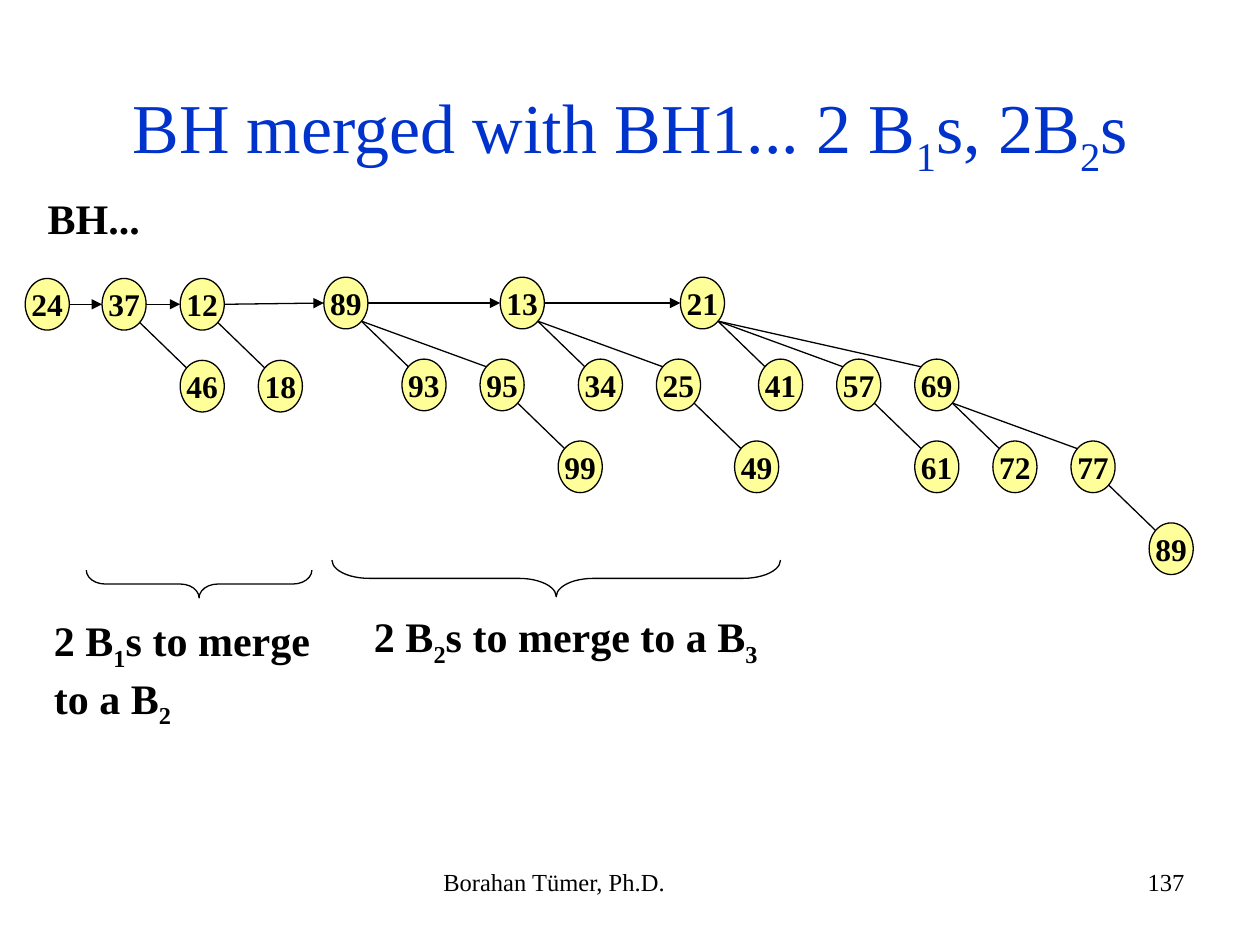
import pptx
import pptx.util
import pptx.dml.color
import pptx.enum.shapes
import pptx.enum.text
import pptx.oxml.ns
from lxml import etree

SHAPES = pptx.enum.shapes.MSO_SHAPE
ALIGN = pptx.enum.text.PP_ALIGN
ANCHOR = pptx.enum.text.MSO_ANCHOR
INCH = pptx.util.Inches

COLORS = {"title": "0033CC", "ink": "000000", "node": "FFFF99"}
FONT = "Times New Roman"
TITLE = "BH merged with BH1... 2 B_1_s, 2B_2_s"

TREES = [
    (0.20, 2.21, ("24", [])),
    (0.81, 2.21, ("37", [("46", [])])),
    (1.43, 2.21, ("12", [("18", [])])),
    (2.57, 2.20, ("89", [("93", []), ("95", [("99", [])])])),
    (3.97, 2.20, ("13", [("34", []), ("25", [("49", [])])])),
    (5.40, 2.20, ("21", [
        ("41", []),
        ("57", [("61", [])]),
        ("69", [("72", []), ("77", [("89", [])])]),
    ])),
]
LABELS = [
    ("BH...", (0.28, 1.48, 1.05, 0.5), dict(size=24, bold=True)),
    ("2 B_1_s to merge to a B_2", (0.33, 4.83, 2.52, 1.01), dict(size=24, bold=True)),
    ("2 B_2_s to merge to a B_3", (2.87, 4.8, 3.44, 0.56), dict(size=24, bold=True)),
    ("Borahan Tümer, Ph.D.", (3.42, 6.83, 3.17, 0.52), dict(size=14)),
    ("137", (7.17, 6.83, 2.33, 0.52), dict(size=14, align=ALIGN.RIGHT)),
]
BRACES = [((1.47, 3.74, 0.22, 1.79), 0.68), ((4.27, 2.81, 0.29, 3.56), 1.02)]

NODE_WIDTH, NODE_HEIGHT = 0.35, 0.41
COLUMN, ROW = 0.62, 0.65
NEAR, FAR = 0.15, 0.85


def color(name):
    return pptx.dml.color.RGBColor.from_string(COLORS[name])


def write(shape, text, size, ink="ink", bold=False, align=ALIGN.LEFT,
          anchor=ANCHOR.TOP, wrap=True):
    frame = shape.text_frame
    frame.word_wrap = wrap
    frame.auto_size = pptx.enum.text.MSO_AUTO_SIZE.NONE
    frame.vertical_anchor = anchor
    para = frame.paragraphs[0]
    para.alignment = align
    for index, piece in enumerate(text.split("_")):
        span = para.add_run()
        span.text = piece
        span.font.name = FONT
        span.font.size = pptx.util.Pt(size)
        span.font.bold = bold
        span.font.color.rgb = color(ink)
        if index % 2:
            span.font._element.set("baseline", "-25000")


def outline(shape):
    shape.line.color.rgb = color("ink")
    shape.line.width = pptx.util.Pt(0.75)


def connect(slide, start, end, arrow=False):
    line = slide.shapes.add_connector(
        pptx.enum.shapes.MSO_CONNECTOR.STRAIGHT, *map(INCH, start + end))
    outline(line)
    if arrow:
        tail = etree.SubElement(line.line._get_or_add_ln(), pptx.oxml.ns.qn("a:tailEnd"))
        tail.set("type", "triangle")
    etree.SubElement(line._element.spPr, pptx.oxml.ns.qn("a:effectLst"))


def draw_tree(slide, left, top, tree):
    key, children = tree
    node = slide.shapes.add_shape(
        SHAPES.OVAL, *map(INCH, (left, top, NODE_WIDTH, NODE_HEIGHT)))
    node.shadow.inherit = False
    node.fill.solid()
    node.fill.fore_color.rgb = color("node")
    outline(node)
    write(node, key, 18, bold=True, align=ALIGN.CENTER, anchor=ANCHOR.MIDDLE, wrap=False)
    for order, child in enumerate(children, 1):
        child_left, child_top = left + order * COLUMN, top + ROW
        connect(slide,
                (left + FAR * NODE_WIDTH, top + FAR * NODE_HEIGHT),
                (child_left + NEAR * NODE_WIDTH, child_top + NEAR * NODE_HEIGHT))
        draw_tree(slide, child_left, child_top, child)


def main():
    deck = pptx.Presentation()
    deck.slide_width, deck.slide_height = INCH(10), INCH(7.5)
    slide = deck.slides.add_slide(deck.slide_layouts[5])

    title = slide.shapes.title
    title.left, title.top, title.width, title.height = map(INCH, (0.5, 0.3, 9, 1.49))
    write(title, TITLE, 40, ink="title", align=ALIGN.CENTER, anchor=ANCHOR.MIDDLE)

    for left, top, tree in TREES:
        draw_tree(slide, left, top, tree)
    middle = NODE_HEIGHT / 2
    for (left, top, _), (next_left, next_top, _) in zip(TREES, TREES[1:]):
        connect(slide, (left + NODE_WIDTH, top + middle),
                (next_left, next_top + middle), arrow=True)

    for place, curve in BRACES:
        brace = slide.shapes.add_shape(SHAPES.LEFT_BRACE, *map(INCH, place))
        brace.shadow.inherit = False
        brace.rotation = 270
        brace.adjustments[0] = curve
        brace.fill.background()
        outline(brace)

    for text, place, style in LABELS:
        write(slide.shapes.add_textbox(*map(INCH, place)), text, **style)

    deck.save("out.pptx")


if __name__ == "__main__":
    main()
